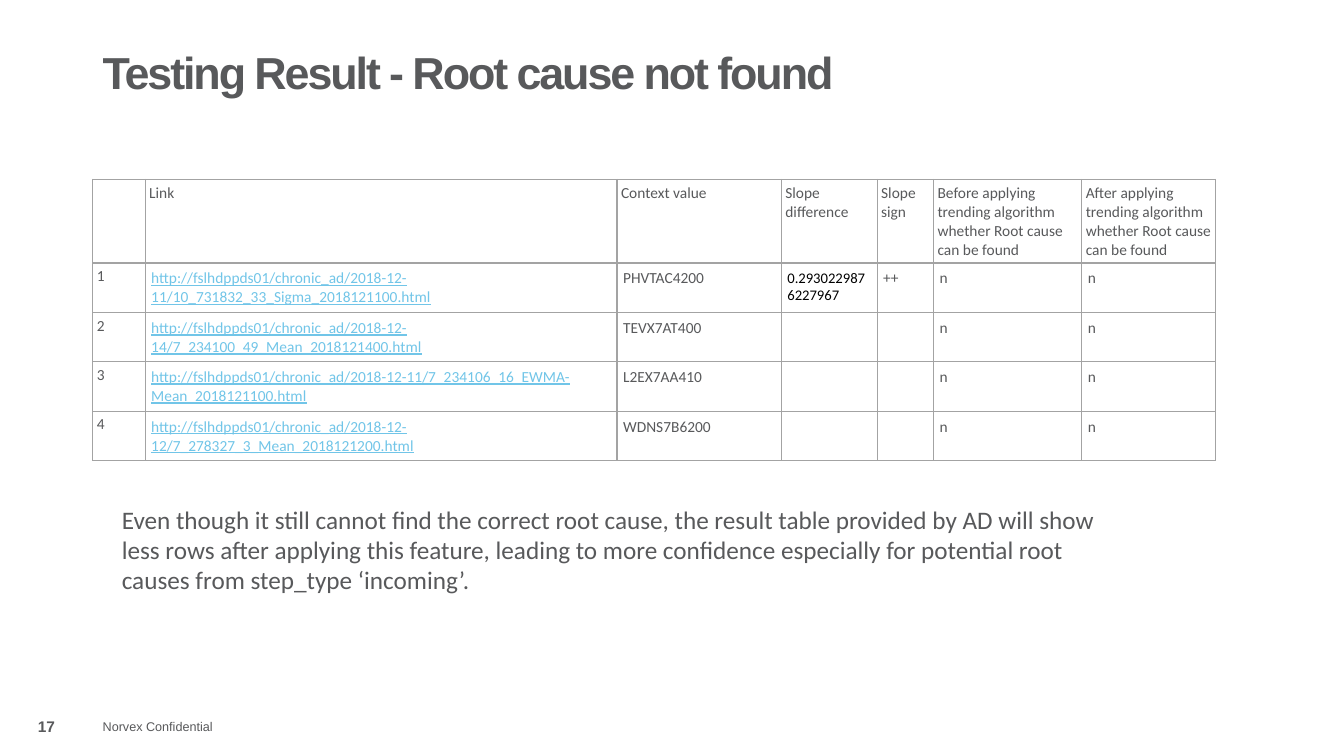
from pptx import Presentation as Deck
from pptx.dml.color import RGBColor as Color
from pptx.enum.text import MSO_ANCHOR as Anchor, PP_ALIGN as Align
from pptx.oxml import parse_xml
from pptx.oxml.ns import nsdecls
from pptx.util import Inches, Pt

COLORS = {"text": "58595B", "link": "71C5E8", "rule": "A3A3A3", "black": "000000"}

WIDTHS = [0.52, 4.68, 1.63, 0.95, 0.56, 1.47, 1.33]
HEAD_ROW, BODY_ROW = 0.83, 0.49

HEADER = [
    "", "Link", "Context value", "Slope difference", "Slope sign",
    "Before applying trending algorithm whether Root cause can be found",
    "After applying trending algorithm whether Root cause can be found",
]
BASE = "http://fslhdppds01/chronic_ad/2018-12-"
RESULTS = [
    ("11/10_731832_33_Sigma_2018121100.html", "PHVTAC4200", "0.2930229876227967", "++"),
    ("14/7_234100_49_Mean_2018121400.html", "TEVX7AT400", "", ""),
    ("11/7_234106_16_EWMA-Mean_2018121100.html", "L2EX7AA410", "", ""),
    ("12/7_278327_3_Mean_2018121200.html", "WDNS7B6200", "", ""),
]
LINK, SLOPE = 1, 3


class Page:
    base = {"name": "Calibri", "size": 11, "color": "text"}

    def __init__(self, slide):
        self.slide = slide

    def label(self, frame, text, **style):
        para = frame.paragraphs[0]
        run = para.add_run()
        run.text = text
        look = {**self.base, **style}
        run.font.color.rgb = Color.from_string(COLORS[look.pop("color")])
        look["size"] = Pt(look["size"])
        for key, value in look.items():
            setattr(run.font, key, value)
        return para, run

    def text(self, box, text, anchor=Anchor.MIDDLE, align=Align.LEFT,
             leading=1.0, kern=0, **style):
        frame = self.slide.shapes.add_textbox(*map(Inches, box)).text_frame
        frame.word_wrap = True
        frame.vertical_anchor = anchor
        para, run = self.label(frame, text, **style)
        para.alignment = align
        para.line_spacing = leading
        if kern:
            run.font._element.set("spc", str(int(kern * 100)))

    def border(self, cell):
        props = cell._tc.get_or_add_tcPr()
        for side in "LRTB":
            props.append(parse_xml(
                f'<a:ln{side} {nsdecls("a")} w="{Pt(1)}"><a:solidFill>'
                f'<a:srgbClr val="{COLORS["rule"]}"/></a:solidFill></a:ln{side}>'))

    def cell(self, cell, text, inset, **style):
        for side in ("left", "right", "top", "bottom"):
            setattr(cell, f"margin_{side}", Inches(inset))
        self.border(cell)
        cell.fill.background()
        if text:
            self.label(cell.text_frame, text, **style)

    def table(self, left, top, rows):
        high = HEAD_ROW + BODY_ROW * (len(rows) - 1)
        box = map(Inches, (left, top, sum(WIDTHS), high))
        grid = self.slide.shapes.add_table(len(rows), len(WIDTHS), *box).table
        grid.first_row = grid.horz_banding = False
        for col, wide in zip(grid.columns, WIDTHS):
            col.width = Inches(wide)
        styles = {LINK: {"color": "link", "underline": True},
                  SLOPE: {"color": "black", "size": 10.5}}
        for r, row in enumerate(rows):
            grid.rows[r].height = Inches(BODY_ROW if r else HEAD_ROW)
            for c, text in enumerate(row):
                inset = 0.06 if r and c else 0.04
                style = styles.get(c, {}) if r else {}
                self.cell(grid.cell(r, c), text, inset, **style)


def main():
    deck = Deck()
    deck.slide_width, deck.slide_height = Inches(13.33), Inches(7.5)
    page = Page(deck.slides.add_slide(deck.slide_layouts[6]))

    page.text((0.92, 0.4, 11.5, 0.69), "Testing Result - Root cause not found",
              leading=0.9, kern=-1.5, name="Arial", size=32, bold=True)
    page.text((0.92, 7.01, 1.52, 0.4), "Norvex Confidential", name="Arial", size=9)
    page.text((0, 7.01, 0.92, 0.4), "17", align=Align.CENTER,
              name="Arial", size=11, bold=True)

    rows = [HEADER]
    for num, (link, *rest) in enumerate(RESULTS, 1):
        rows.append([str(num), BASE + link, *rest, "n", "n"])
    page.table(0.92, 1.78, rows)

    page.text((1.11, 4.95, 9.87, 1.01),
              "Even though it still cannot find the correct root cause, the result "
              "table provided by AD will show less rows after applying this feature, "
              "leading to more confidence especially for potential root causes from "
              "step_type ‘incoming’.", anchor=Anchor.TOP, size=18)
    deck.save("out.pptx")


if __name__ == "__main__":
    main()
